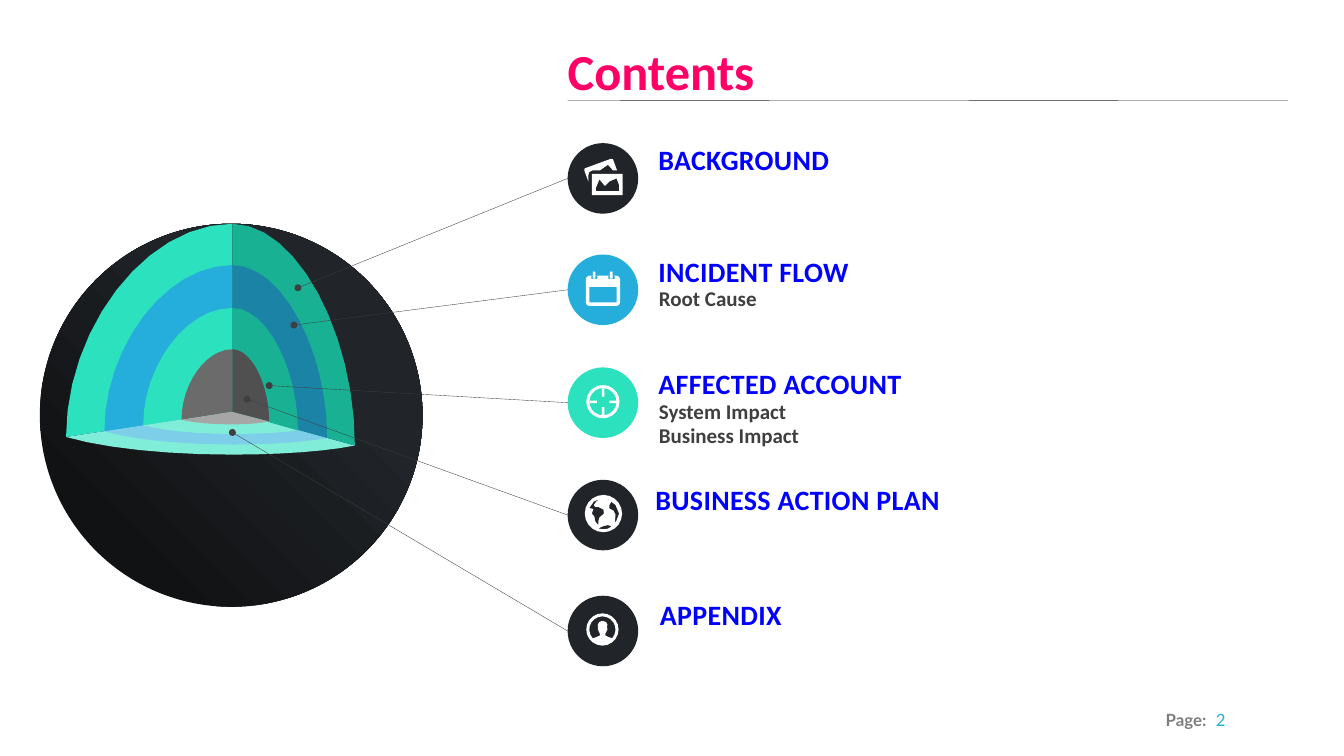
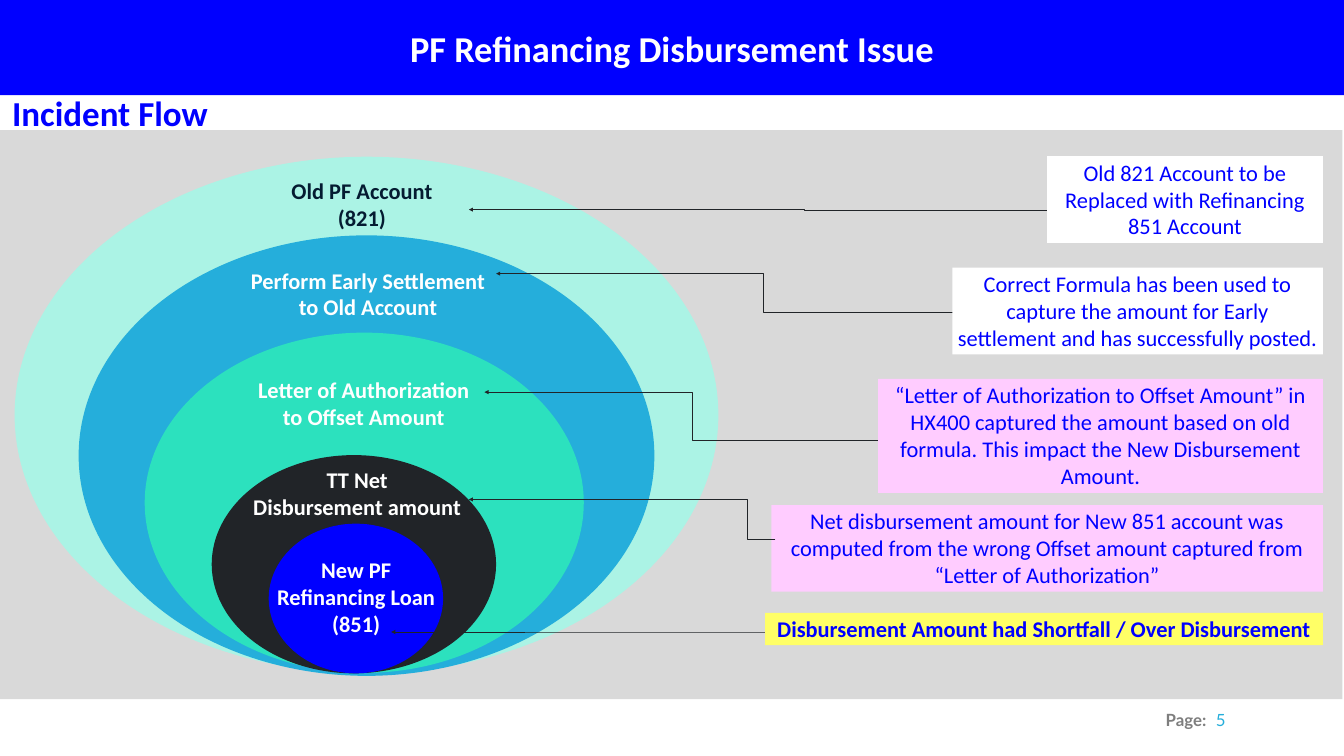
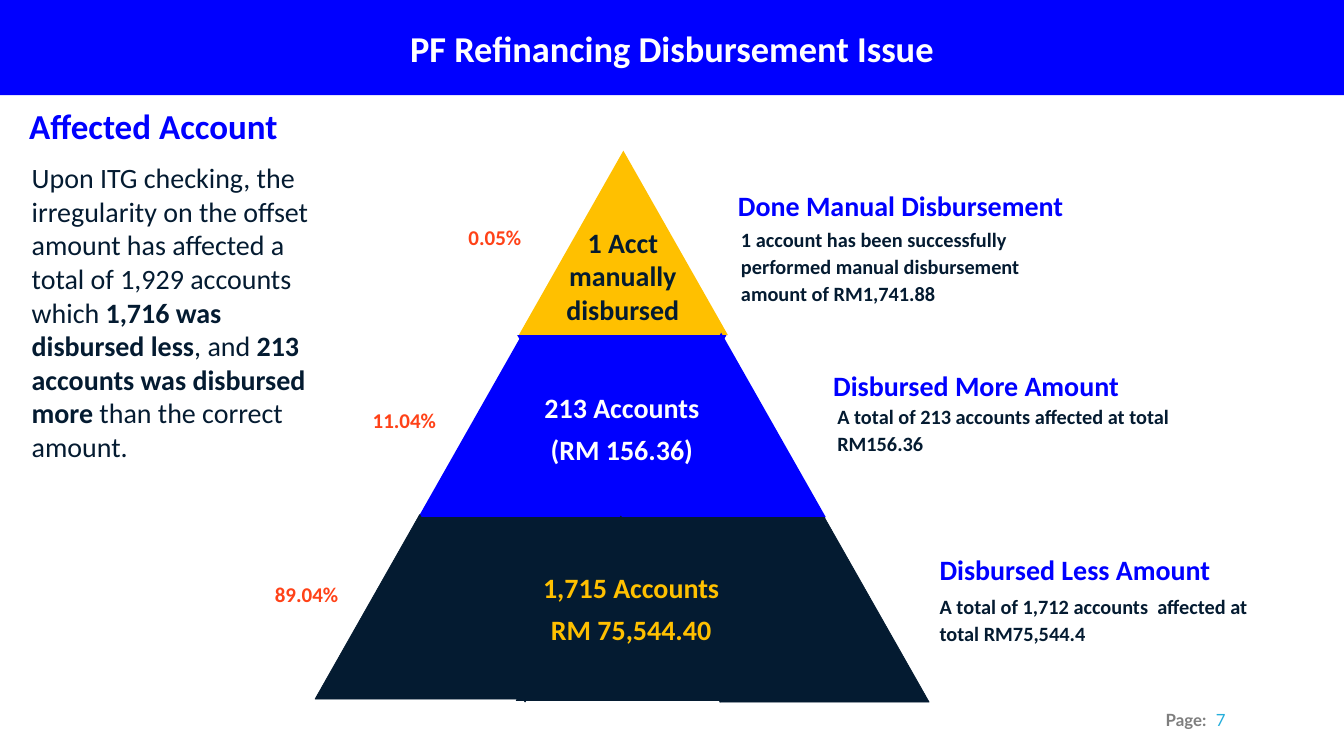
import math

from lxml import etree
from pptx import Presentation
from pptx import util as u
from pptx.dml.color import RGBColor
from pptx.enum import shapes as sh, text as tx
from pptx.oxml.ns import qn

BLUE = RGBColor(0x00, 0x00, 0xFF)
PINK = RGBColor(0xFF, 0x00, 0x66)
WHITE = RGBColor(0xFF, 0xFF, 0xFF)
INK = RGBColor(0x21, 0x24, 0x28)
BLACK = RGBColor(0x10, 0x12, 0x14)
NAVY = RGBColor(0x04, 0x1B, 0x31)
VIOLET = RGBColor(0x2D, 0x00, 0x8B)
SKY = RGBColor(0x25, 0xAE, 0xDB)
SKY_DARK = RGBColor(0x1B, 0x83, 0xA5)
SKY_PALE = RGBColor(0x7C, 0xCE, 0xE9)
MINT = RGBColor(0x2C, 0xE1, 0xBE)
MINT_DARK = RGBColor(0x19, 0xB1, 0x93)
MINT_SOFT = RGBColor(0x80, 0xED, 0xD8)
MINT_PALE = RGBColor(0xAB, 0xF3, 0xE5)
CORE = RGBColor(0x6B, 0x6B, 0x6B)
CORE_DARK = RGBColor(0x50, 0x50, 0x50)
CORE_PALE = RGBColor(0xA6, 0xA6, 0xA6)
SMOKE = RGBColor(0x3F, 0x3F, 0x3F)
GREY = RGBColor(0x7E, 0x7E, 0x7E)
PANEL = RGBColor(0xD9, 0xD9, 0xD9)
ROSE = RGBColor(0xFF, 0xCC, 0xFF)
LEMON = RGBColor(0xFF, 0xFF, 0x66)
GOLD = RGBColor(0xFF, 0xC0, 0x00)
RED = RGBColor(0xFF, 0x42, 0x18)

WIDE, HIGH = 26.66, 15
LEFT, MID, RIGHT = tx.PP_ALIGN.LEFT, tx.PP_ALIGN.CENTER, tx.PP_ALIGN.RIGHT
TOP, MIDDLE = tx.MSO_ANCHOR.TOP, tx.MSO_ANCHOR.MIDDLE
OVAL, RECT = sh.MSO_SHAPE.OVAL, sh.MSO_SHAPE.RECTANGLE
FLAT = (0, 0)
WIDER = (0.2, 0.1)


def inches(*vals):
    return [u.Inches(v) for v in vals]


def apply(obj, vals):
    for key, val in vals.items():
        setattr(obj, key, val)


def write(frame, lines, size, color, bold=True, face="Calibri", track=0,
          pad=(0.1, 0.05), para=None, **look):
    """Set text; a line is a string or a list of (string, bold) runs."""
    side, edge = inches(*pad)
    apply(frame, {"word_wrap": True, "vertical_anchor": TOP,
                  "margin_left": side, "margin_right": side,
                  "margin_top": edge, "margin_bottom": edge, **look})
    for i, line in enumerate(lines):
        par = frame.paragraphs[0] if i == 0 else frame.add_paragraph()
        apply(par, {"alignment": LEFT, **(para or {})})
        for words, heavy in [(line, bold)] if isinstance(line, str) else line:
            run = par.add_run()
            run.text = words
            apply(run.font, {"name": face, "size": u.Pt(size), "bold": heavy})
            run.font.color.rgb = color
            if track:
                run._r.get_or_add_rPr().set("spc", str(track))


def label(slide, box, lines, size, color, **look):
    frame = slide.shapes.add_textbox(*inches(*box)).text_frame
    fit = {"auto_size": tx.MSO_AUTO_SIZE.SHAPE_TO_FIT_TEXT}
    write(frame, lines, size, color, **{**fit, **look})


def paint(shape, fill, edge=None):
    shape.shadow.inherit = False
    shape.fill.solid()
    shape.fill.fore_color.rgb = fill
    if edge:
        shape.line.color.rgb = edge
        shape.line.width = u.Pt(1)
    else:
        shape.line.fill.background()
    return shape


def block(slide, kind, box, fill):
    return paint(slide.shapes.add_shape(kind, *inches(*box)), fill)


def draw(slide, loops, fill, edge=None, x=0, y=0):
    """Draw closed loops as one outline; inner loops become holes."""
    loops = [[inches(x + px, y + py) for px, py in loop] for loop in loops]
    pen = slide.shapes.build_freeform(*loops[0][0])
    for i, loop in enumerate(loops):
        if i:
            pen.move_to(*loop[0])
        pen.add_line_segments(loop[1:], close=True)
    return paint(pen.convert_to_shape(), fill, edge)


def link(slide, start, end, color, width, tip=None, bend=None):
    kind = sh.MSO_CONNECTOR.STRAIGHT if bend is None else sh.MSO_CONNECTOR.ELBOW
    line = slide.shapes.add_connector(kind, *inches(*start, *end))
    line.line.color.rgb = color
    line.line.width = u.Pt(width)
    props = line._element.spPr
    if bend is not None:
        guides = props.find(qn("a:prstGeom")).get_or_add_avLst()
        etree.SubElement(guides, qn("a:gd"), name="adj1",
                         fmla=f"val {round(bend * 100000)}")
    if tip:
        size = {"w": "lg", "len": "lg"} if tip == "oval" else {}
        etree.SubElement(props.find(qn("a:ln")), qn("a:tailEnd"), type=tip,
                         **size)
    etree.SubElement(props, qn("a:effectLst"))


# Outlines

def arc(cx, cy, r, start=0, end=360, steps=20):
    turns = [math.radians(start + (end - start) * i / steps)
             for i in range(steps + (end - start < 360))]
    return [(cx + r * math.cos(t), cy + r * math.sin(t)) for t in turns]


def rect(left, top, right, low):
    return [(left, top), (right, top), (right, low), (left, low)]


def curve(edge, peak, lean, rise, reach, steps=12):
    """Bezier from edge to peak, level where it meets the peak."""
    (ex, ey), (px, py) = edge, peak
    knots = (edge, (ex + lean * (px - ex), ey + rise * (py - ey)),
             (ex + reach * (px - ex), py), peak)
    out = []
    for t in (i / steps for i in range(steps + 1)):
        parts = ((1 - t) ** 3, 3 * t * (1 - t) ** 2, 3 * t * t * (1 - t), t ** 3)
        out.append(tuple(sum(w * k[a] for w, k in zip(parts, knots))
                         for a in (0, 1)))
    return out


PHOTO = [
    [(.98, .54), (.9, .32), (.86, .31), (.34, .5), (.33, .54), (.41, .76),
     (.41, .64), (.43, .57), (.5, .54), (.64, .54), (.8, .43), (.9, .54)],
    rect(.48, .61, 1.09, 1.03),
    [(1.02, .95), (.56, .95), (.56, .89), (.63, .72), (.74, .85), (.83, .76),
     (.97, .7), (1.02, .83)]]
DIARY = [
    [(.38, .44), (.43, .42), (.97, .42), (1.02, .44), (1.04, .49), (1.04, .95),
     (1.02, 1), (.97, 1.02), (.43, 1.02), (.38, 1), (.36, .95), (.36, .49)],
    rect(.43, .64, .97, .95)]
for peg in (.53, .87):
    DIARY += [rect(peg - .06, .42, peg + .06, .49),
              rect(peg - .03, .34, peg + .02, .48)]
TARGET = [arc(.7, .68, .33), arc(.7, .68, .27),
          rect(.68, .42, .73, .58), rect(.68, .79, .73, .94),
          rect(.44, .66, .58, .71), rect(.83, .66, .96, .71)]
GLOBE = [
    arc(.71, .67, .37),
    [(1.02, .67), (.95, .86), (.94, .8), (.95, .69), (.91, .61), (.83, .57),
     (.83, .5), (.87, .43), (.79, .39), (.8, .38), (.95, .5)],
    [(.67, .37), (.63, .39), (.57, .43), (.52, .5), (.55, .54), (.61, .54),
     (.71, .59), (.72, .67), (.63, .75), (.61, .82), (.61, .9), (.55, .83),
     (.53, .73), (.48, .67), (.51, .58), (.43, .56), (.52, .43)],
    [(.61, .97), (.66, .94), (.71, .92), (.79, .9), (.88, .92), (.8, .97),
     (.71, .98)]]
PERSON = [
    arc(.69, .67, .32),
    arc(.69, .67, .26, 137, 403 - 1, 14)
    + [(.81, .82), (.75, .79), (.75, .75), (.79, .67), (.78, .62), (.79, .57),
       (.76, .52), (.69, .5), (.63, .52), (.6, .57), (.6, .62), (.6, .67),
       (.64, .75), (.64, .79), (.57, .82)]]


# Shared parts

def footer(slide, page):
    label(slide, (23.11, 14.08, 0.82, 0.4), ["Page:"], 24, GREY, face="Lato",
          pad=FLAT, word_wrap=False, vertical_anchor=MIDDLE,
          para={"alignment": RIGHT})
    label(slide, (23.81, 13.98, 0.81, 0.61), [str(page)], 24, SKY, bold=False,
          face="Lato", pad=WIDER, word_wrap=False, para={"alignment": MID})


def banner(slide):
    bar = block(slide, RECT, (0, 0, WIDE, 1.89), BLUE)
    write(bar.text_frame, ["PF Refinancing Disbursement Issue"], 52, WHITE,
          para={"alignment": MID}, vertical_anchor=MIDDLE)


def topic(slide, x, y, words, size=50, color=BLUE, box=(6.03, 0.84)):
    label(slide, (x, y, *box), [words], size, color, pad=FLAT,
          vertical_anchor=MIDDLE)


# Contents

# left edge, right edge, top, floor, then colours of left, floor and right
LAYERS = [
    ((1.31, 8.67), (7.04, 8.84), 4.44, 9.02, MINT, MINT_SOFT, MINT_DARK),
    ((2.07, 8.56), (6.49, 8.69), 5.26, 8.82, SKY, SKY_PALE, SKY_DARK),
    ((2.84, 8.44), (5.91, 8.54), 6.11, 8.61, MINT, MINT_SOFT, MINT_DARK),
    ((3.6, 8.33), (5.34, 8.36), 6.93, 8.42, CORE, CORE_PALE, CORE_DARK)]

# top, colour, icon, end of pointer, offset and width of heading, words, details
ITEMS = [
    (2.84, INK, PHOTO, (5.91, 5.71), (1.8, 0.02, 3.43), "BACKGROUND", []),
    (5.05, SKY, DIARY, (5.83, 6.45), (1.8, 0.03, 3.83), "INCIDENT FLOW",
     ["Root Cause"]),
    (7.29, MINT, TARGET, (5.34, 7.65), (1.8, 0.02, 5.02), "AFFECTED ACCOUNT",
     ["System Impact", "Business Impact"]),
    (9.52, INK, GLOBE, (4.9, 7.92), (1.74, 0.1, 5.71), "BUSINESS ACTION PLAN",
     []),
    (11.82, INK, PERSON, (4.61, 8.58), (1.83, 0.07, 2.45), "APPENDIX", [])]


def sphere(slide, x, y):
    """Ball with a cut-out that shows its layers."""
    ball = block(slide, OVAL, (x, y, 7.59, 7.6), INK)
    ball.fill.gradient()
    for stop, spot, color in zip(ball.fill.gradient_stops, (0.31, 0.82),
                                 (INK, BLACK)):
        stop.position = spot
        stop.color.rgb = color
    grad = ball._element.spPr.find(qn("a:gradFill"))
    grad.remove(grad.find(qn("a:lin")))
    glow = etree.SubElement(grad, qn("a:path"), path="circle")
    etree.SubElement(glow, qn("a:fillToRect"), l="100000", b="100000")

    hub = (x + 3.82, y + 3.73)
    west, east = LAYERS[0][:2]
    link(slide, west, hub, VIOLET, 0.88)
    link(slide, hub, east, VIOLET, 0.88)
    for left, right, top, low, face, floor, shade in LAYERS:
        peak, base = (hub[0], top), (hub[0], low)
        draw(slide, [curve(left, peak, 0, 0.5, 0.47) + [hub]], face)
        rim = [curve(end, base, 0.23, 0.63, 0.6, 6) for end in (left, right)]
        draw(slide, [rim[0] + rim[1][-2::-1] + [hub]], floor)
        draw(slide, [curve(right, peak, 0, 0.5, 0.47) + [hub]], shade)


def item(slide, x, y, color, icon, goal, place, head, notes):
    size = 1.4
    dx, dy, wide = place
    link(slide, (x, y + size / 2), goal, SMOKE, 0.5, "oval")
    block(slide, OVAL, (x, y, size, size), color)
    draw(slide, icon, WHITE, x=x, y=y)
    label(slide, (x + dx, y + dy, wide, 0.63), [head], 40, BLUE, track=50,
          pad=FLAT, word_wrap=False,
          para={"line_spacing": u.Pt(45.3), "space_after": u.Pt(16)})
    if notes:
        label(slide, (x + 1.81, y + 0.64, 10.25, 0.48 * len(notes)), notes, 30,
              SMOKE, pad=FLAT, para={"line_spacing": u.Pt(34)})


def contents(slide):
    x = 11.26
    topic(slide, x, 0.79, "Contents", 72, PINK, (15.4, 1.21))
    link(slide, (x, 1.99), (25.55, 2), INK, 0.5)
    sphere(slide, 0.79, 4.44)
    for top, *rest in ITEMS:
        item(slide, x, top, *rest)


# Incident flow

RINGS = [
    ((0.29, 3.11, 13.96, 10.25), MINT_PALE),
    ((1.56, 4.67, 11.42, 8.74), SKY),
    ((2.87, 6.6, 8.71, 6.75), MINT),
    ((4.2, 9.03, 5.64, 4.33), INK),
    ((5.33, 10.39, 3.46, 2.97), BLUE)]
STEPS = [
    ((5.4, 3.42, 3.56, 1.28), ["Old PF Account (821)"], NAVY),
    ((4.7, 5.19, 5.2, 1.28), ["Perform Early Settlement", "to Old Account"],
     WHITE),
    ((3.9, 7.36, 6.63, 1.53), ["Letter of Authorization", "to Offset Amount"],
     WHITE),
    ((4.12, 9.15, 5.93, 1.28), ["TT Net", "Disbursement amount"], WHITE),
    ((4.83, 10.93, 4.47, 1.82), ["New PF", "Refinancing Loan", "(851)"], WHITE)]
# top, width, height, fill, bold, words
NOTES = [
    (3.1, 5.47, 1.72, WHITE, False,
     "Old 821 Account to be Replaced with Refinancing 851 Account"),
    (5.31, 7.35, 1.72, WHITE, False,
     "Correct Formula has been used to capture the amount for Early "
     "settlement and has successfully posted."),
    (7.52, 8.82, 2.26, ROSE, False,
     "“Letter of Authorization to Offset Amount” in HX400 captured the amount "
     "based on old formula. This impact the New Disbursement Amount."),
    (10.02, 10.94, 1.72, ROSE, False,
     "Net disbursement amount for New 851 account was computed from the wrong "
     "Offset amount captured from “Letter of Authorization”"),
    (12.16, 11.06, 0.64, LEMON, True,
     "Disbursement Amount had Shortfall / Over Disbursement")]
BEHIND = [
    ((22.62, 4.17), (9.3, 4.16), 0.5),
    ((20.45, 6.2), (9.84, 5.43), 0.5),
    ((17.87, 8.73), (9.61, 7.78), 0.5),
    ((18.11, 12.54), (7.76, 12.54), 0.5)]
FRONT = [((15.38, 10.7), (9.3, 9.91), 0.09)]


def rings(slide):
    for box, color in RINGS:
        block(slide, OVAL, box, color)
    for box, lines, color in STEPS:
        label(slide, box, lines, 32, color, pad=WIDER, para={"alignment": MID})


def arrows(slide, routes):
    for start, end, bend in routes:
        link(slide, start, end, INK, 1, "triangle", bend)


def notes(slide, right):
    for top, wide, high, fill, bold, words in NOTES:
        card = block(slide, RECT, (right - wide, top, wide, high), fill)
        write(card.text_frame, [words], 32, BLUE, bold=bold,
              para={"alignment": MID})


def flow(slide):
    block(slide, RECT, (-0.03, 2.58, WIDE, 11.29), PANEL)
    banner(slide)
    topic(slide, 0.24, 1.81, "Incident Flow")
    rings(slide)
    arrows(slide, BEHIND)
    notes(slide, 26.24)
    arrows(slide, FRONT)


# Affected account

# fill, edge, then left and top of each triangle
TIERS = [
    (GOLD, None, [(10.29, 2.99)]),
    (BLUE, None, [(8.27, 6.65), (10.26, 6.65), (12.23, 6.6)]),
    (NAVY, NAVY, [(6.25, 10.21), (8.34, 10.27), (10.24, 10.24),
                  (12.21, 10.27), (14.28, 10.27)])]
COUNTS = [
    ((11.12, 4.42, 2.47, 2.12), ["1 Acct", "manually", "disbursed"], NAVY, 0),
    ((10.68, 7.7, 3.31, 1.62), ["213 Accounts", "(RM 156.36)"], WHITE, 12),
    ((10.65, 11.27, 3.74, 1.62), ["1,715 Accounts", "RM 75,544.40"], GOLD, 12)]
SHARES = [((9.18, 4.4, 1.26, 0.61), "0.05%"),
          ((7.27, 8.03, 1.48, 0.61), "11.04%"),
          ((5.33, 11.49, 1.48, 0.61), "89.04%")]
# place and width of heading, heading, place of details, details
FACTS = [
    ((14.54, 3.69, 6.73), "Done Manual Disbursement", (14.6, 4.41, 7.08, 1.68),
     "1 account has been successfully performed manual disbursement amount of "
     "RM1,741.88"),
    ((16.43, 7.26, 5.93), "Disbursed More Amount", (16.51, 7.93, 7.08, 1.15),
     "A total of 213 accounts affected at total RM156.36"),
    ((18.54, 10.92, 5.76), "Disbursed Less Amount", (18.54, 11.7, 7.08, 1.15),
     "A total of 1,712 accounts  affected at total RM75,544.4")]


def pyramid(slide):
    """Three tiers of triangles that point up and down in turn."""
    wide, high = 4.15, 3.66
    up = [(0, high), (wide / 2, 0), (wide, high)]
    down = [(0, 0), (wide / 2, high), (wide, 0)]
    for fill, edge, spots in TIERS:
        for col, (x, y) in enumerate(spots):
            draw(slide, [down if col % 2 else up], fill, edge, x, y)
    for box, lines, color, gap in COUNTS:
        label(slide, box, lines, 40, color, word_wrap=False,
              para={"alignment": MID, "space_before": u.Pt(gap)})
    for box, share in SHARES:
        label(slide, box, [share], 30, RED, word_wrap=False,
              para={"alignment": RIGHT})


def facts(slide):
    for place, head, box, words in FACTS:
        label(slide, (*place, 0.77), [head], 40, BLUE, word_wrap=False)
        label(slide, box, [words], 29, NAVY, para={"line_spacing": 1.1})


def account(slide):
    banner(slide)
    topic(slide, 0.58, 2.07, "Affected Account", box=(5.56, 0.84))
    story = [
        ("Upon ITG checking, the irregularity on the offset amount has "
         "affected a total of 1,929 accounts which ", False),
        ("1,716 was disbursed less", True), (", and ", False),
        ("213 accounts was disbursed more", True),
        (" than the correct amount.", False)]
    label(slide, (0.53, 3.14, 6.26, 6.16), [story], 40, NAVY)
    pyramid(slide)
    facts(slide)


def main():
    deck = Presentation()
    deck.slide_width, deck.slide_height = inches(WIDE, HIGH)
    for build, page in ((contents, 2), (flow, 5), (account, 7)):
        slide = deck.slides.add_slide(deck.slide_layouts[6])
        build(slide)
        footer(slide, page)
    deck.save("out.pptx")


if __name__ == "__main__":
    main()
